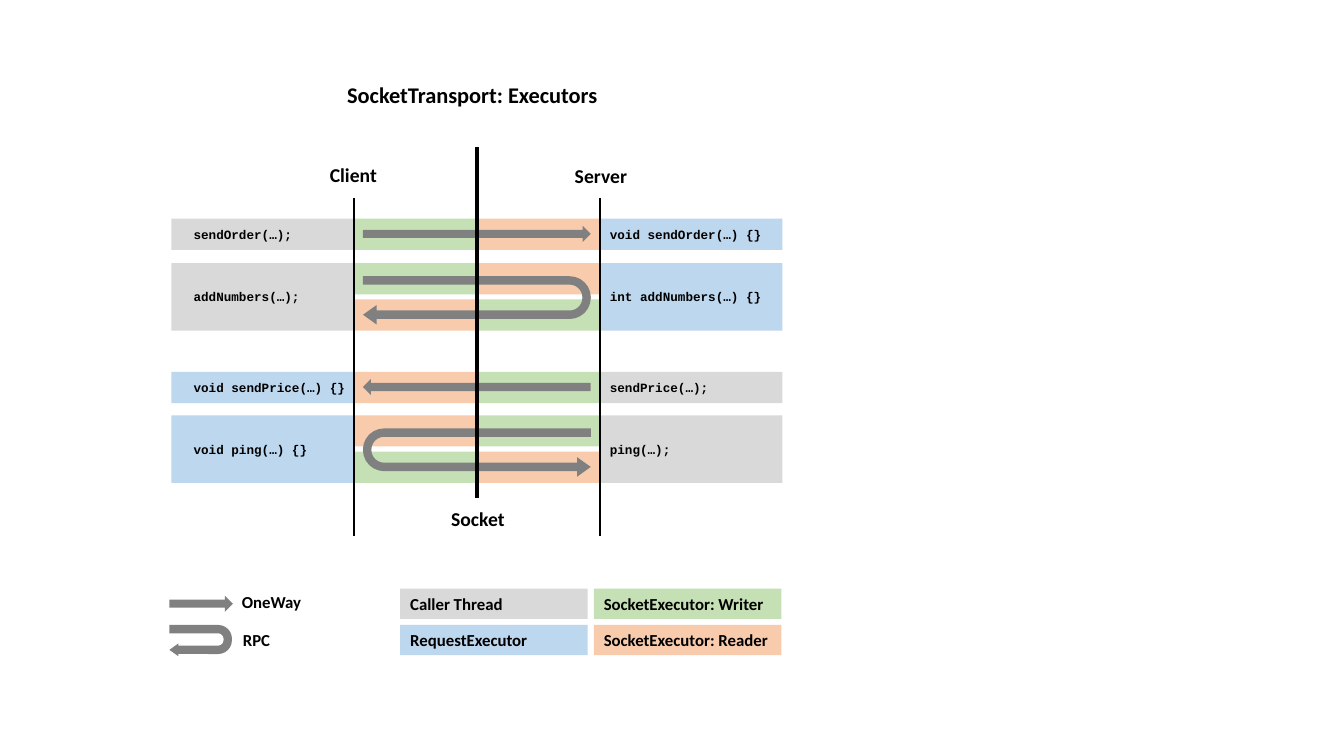
from dataclasses import dataclass
from typing import NamedTuple

from lxml.etree import SubElement
from pptx import Presentation
from pptx.dml.color import RGBColor
from pptx.enum.shapes import MSO_CONNECTOR, MSO_SHAPE
from pptx.enum.text import MSO_ANCHOR, MSO_AUTO_SIZE, PP_ALIGN
from pptx.oxml.ns import qn
from pptx.util import Inches, Pt


@dataclass(frozen=True)
class Theme:
    ink: str = "000000"
    arrow: str = "808080"
    caller: str = "D9D9D9"
    handler: str = "BDD7EE"
    writer: str = "C5E0B4"
    reader: str = "F8CBAD"
    sans: str = "Calibri"
    mono: str = "Courier New"
    title: int = 16
    head: int = 14
    key: int = 12
    code: int = 9


class Box(NamedTuple):
    left: float
    top: float
    width: float
    height: float

    def inches(self) -> list:
        return [Inches(side) for side in self]


class Call(NamedTuple):
    top: float
    client: str
    server: str
    rpc: bool
    pushed: bool


class Label(NamedTuple):
    text: str
    box: Box
    size: int
    align: PP_ALIGN


class Swatch(NamedTuple):
    text: str
    fill: str
    col: int
    row: int


class Rule(NamedTuple):
    left: float
    top: float
    bottom: float
    weight: float


theme = Theme()
CODE_W, LANE_W, LANE_H, RPC_H = 1.81, 1.22, 0.31, 0.67
CLIENT = 3.51
SOCKET = CLIENT + LANE_W
SERVER = SOCKET + LANE_W
LANE_STEP = RPC_H - LANE_H
ARROW_W, ARROW_H, TURN_H = 2.26, 0.16, 0.48

CALLS = [
    Call(2.17, "sendOrder(…);", "void sendOrder(…) {}", False, False),
    Call(2.61, "addNumbers(…);", "int addNumbers(…) {}", True, False),
    Call(3.69, "void sendPrice(…) {}", "sendPrice(…);", False, True),
    Call(4.12, "void ping(…) {}", "ping(…);", True, True),
]
RULES = [
    Rule(SOCKET, 1.46, 4.94, 3),
    Rule(CLIENT, 1.96, 5.32, 1.5),
    Rule(SERVER, 1.96, 5.32, 1.5),
]
LABELS = [
    Label("Client", Box(3.17, 1.56, 0.67, 0.34), theme.head, PP_ALIGN.CENTER),
    Label("Server", Box(5.6, 1.57, 0.72, 0.34), theme.head, PP_ALIGN.CENTER),
    Label("Socket", Box(4.37, 4.98, 0.74, 0.34), theme.head, PP_ALIGN.CENTER),
    Label("OneWay", Box(2.3, 5.82, 0.8, 0.3), theme.key, PP_ALIGN.LEFT),
    Label("RPC", Box(2.31, 6.2, 0.48, 0.3), theme.key, PP_ALIGN.LEFT),
]
SWATCHES = [
    Swatch("Caller Thread", theme.caller, 0, 0),
    Swatch("RequestExecutor", theme.handler, 0, 1),
    Swatch("SocketExecutor: Writer", theme.writer, 1, 0),
    Swatch("SocketExecutor: Reader", theme.reader, 1, 1),
]


def write(shape, text: str, font: str, size: int, align: PP_ALIGN) -> None:
    frame = shape.text_frame
    frame.text = text
    frame.auto_size = MSO_AUTO_SIZE.NONE
    frame.word_wrap = False
    frame.vertical_anchor = MSO_ANCHOR.MIDDLE
    line = frame.paragraphs[0]
    line.alignment = align
    face = line.runs[0].font
    face.name, face.size, face.bold = font, Pt(size), True
    face.color.rgb = RGBColor.from_string(theme.ink)


def draw(slide, kind: MSO_SHAPE, box: Box, fill: str):
    shape = slide.shapes.add_shape(kind, *box.inches())
    shape.shadow.inherit = False
    shape.fill.solid()
    shape.fill.fore_color.rgb = RGBColor.from_string(fill)
    shape.line.fill.background()
    return shape


def add_bar(slide, box: Box, fill: str, text: str, font: str, size: int, indent: float) -> None:
    bar = draw(slide, MSO_SHAPE.RECTANGLE, box, fill)
    write(bar, text, font, size, PP_ALIGN.LEFT)
    bar.text_frame.margin_left = Inches(indent)
    bar.text_frame.margin_right = 0


def flip(shape) -> None:
    shape._element.spPr.xfrm.set("flipH", "1")


def add_arrow(slide, box: Box, pushed: bool) -> None:
    arrow = draw(slide, MSO_SHAPE.RIGHT_ARROW, box, theme.arrow)
    if pushed:
        flip(arrow)


def add_turn(slide, box: Box, stem: float, pushed: bool) -> None:
    shift = (box.width - box.height) / 2
    upright = Box(box.left + shift, box.top - shift, box.height, box.width)
    turn = draw(slide, MSO_SHAPE.U_TURN_ARROW, upright, theme.arrow)
    for index, value in enumerate((stem, 0.203, 0.284, 0.438, 1)):
        turn.adjustments[index] = value
    turn.rotation = 270 if pushed else 90
    if pushed:
        flip(turn)


def add_call(slide, call: Call) -> None:
    high = RPC_H if call.rpc else LANE_H
    ends = [theme.caller, theme.handler]
    lanes = [theme.writer, theme.reader]
    if call.pushed:
        ends.reverse()
        lanes.reverse()
    sides = [(CLIENT - CODE_W, call.client, 0.22), (SERVER, call.server, 0.1)]
    for (left, text, indent), fill in zip(sides, ends):
        box = Box(left, call.top, CODE_W, high)
        add_bar(slide, box, fill, text, theme.mono, theme.code, indent)
    for row, fills in enumerate([lanes, lanes[::-1]][:1 + call.rpc]):
        for left, fill in zip((CLIENT, SOCKET), fills):
            box = Box(left, call.top + row * LANE_STEP, LANE_W, LANE_H)
            draw(slide, MSO_SHAPE.RECTANGLE, box, fill)
    left = SOCKET - ARROW_W / 2
    if call.rpc:
        add_turn(slide, Box(left, call.top + 0.13, ARROW_W, TURN_H), 0.175, call.pushed)
    else:
        add_arrow(slide, Box(left, call.top + 0.07, ARROW_W, ARROW_H), call.pushed)


def add_rule(slide, rule: Rule) -> None:
    line = slide.shapes.add_connector(
        MSO_CONNECTOR.STRAIGHT, Inches(rule.left), Inches(rule.top),
        Inches(rule.left), Inches(rule.bottom))
    line.line.color.rgb = RGBColor.from_string(theme.ink)
    line.line.width = Pt(rule.weight)
    SubElement(line._element.spPr, qn("a:effectLst"))


def add_label(slide, label: Label) -> None:
    shape = slide.shapes.add_textbox(*label.box.inches())
    write(shape, label.text, theme.sans, label.size, label.align)


def add_swatch(slide, swatch: Swatch) -> None:
    box = Box(3.97 + 1.92 * swatch.col, 5.84 + 0.36 * swatch.row, 1.86, 0.3)
    add_bar(slide, box, swatch.fill, swatch.text, theme.sans, theme.key, 0.1)


def main() -> None:
    deck = Presentation()
    deck.slide_width, deck.slide_height = Inches(13.33), Inches(7.5)
    slide = deck.slides.add_slide(deck.slide_layouts[5])
    title = slide.shapes.title
    title.left, title.top, title.width, title.height = Box(3.3, 0.75, 2.77, 0.37).inches()
    write(title, "SocketTransport: Executors", theme.sans, theme.title, PP_ALIGN.CENTER)
    for call in CALLS:
        add_call(slide, call)
    for rule in RULES:
        add_rule(slide, rule)
    add_arrow(slide, Box(1.68, 5.91, 0.63, ARROW_H), False)
    add_turn(slide, Box(1.68, 6.2, 0.62, 0.31), 0.266, False)
    for label in LABELS:
        add_label(slide, label)
    for swatch in SWATCHES:
        add_swatch(slide, swatch)
    deck.save("out.pptx")


main()
